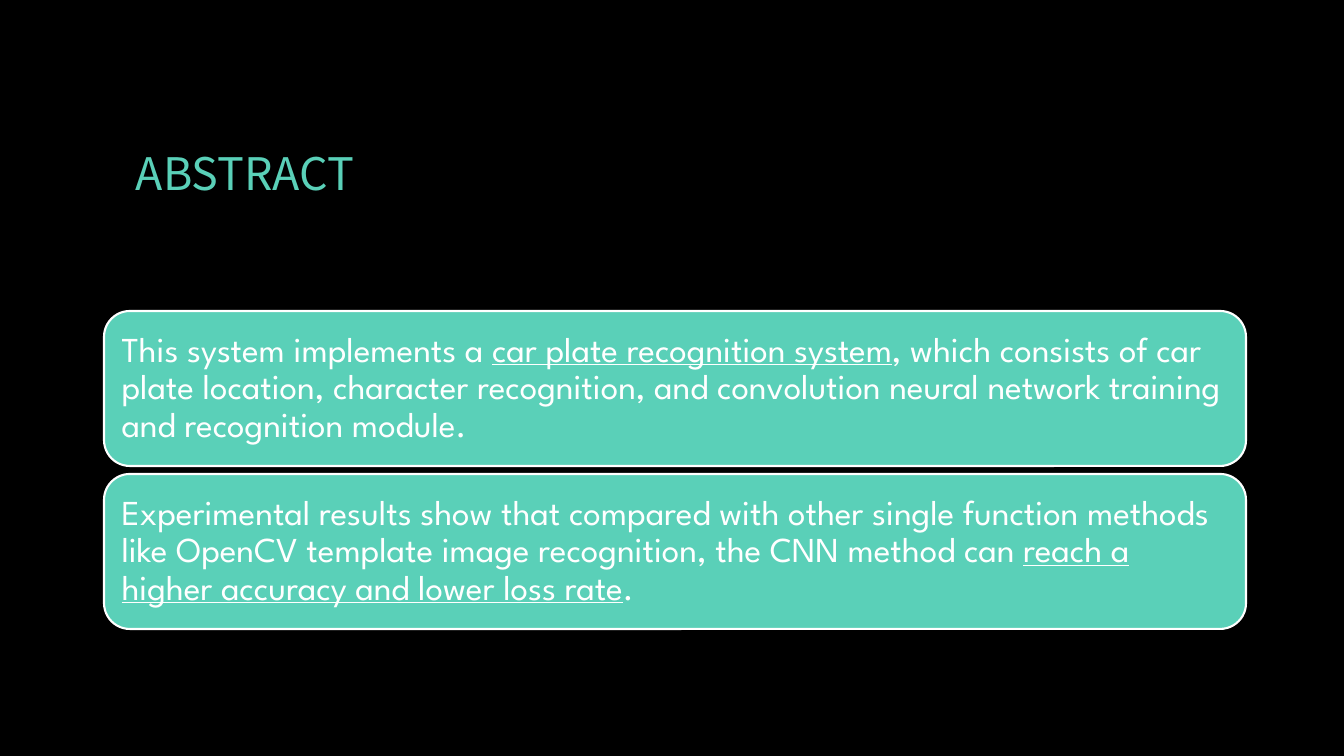
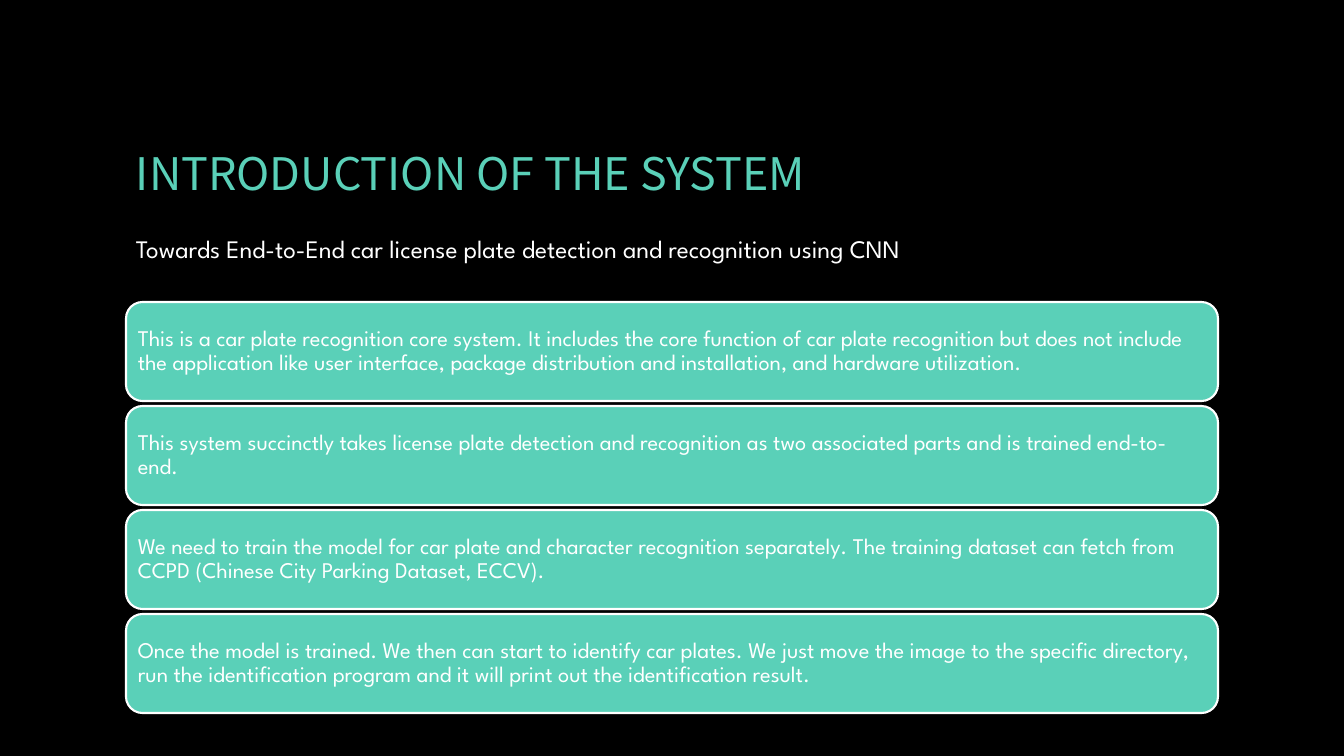
import pptx
import pptx.dml.color
import pptx.enum.shapes
import pptx.enum.text
import pptx.util

SLIDES = [
    {
        "title": "ABSTRACT",
        "subtitle": None,
        "cards": [
            [
                ("This system implements a ", False),
                ("car plate recognition system", True),
                (", which consists of car plate location, character recognition, "
                 "and convolution neural network training and recognition module.", False),
            ],
            [
                ("Experimental results show that compared with other single function methods "
                 "like OpenCV template image recognition, the CNN method can ", False),
                ("reach a higher accuracy and lower loss rate", True),
                (".", False),
            ],
        ],
        "stack": {"left": 104, "top": 311, "width": 1142, "height": 155, "gap": 8},
        "inset": 10,
        "style": "large_card",
    },
    {
        "title": "INTRODUCTION OF THE SYSTEM",
        "subtitle": "Towards End-to-End car license plate detection and recognition using CNN",
        "cards": [
            [("This is a car plate recognition core system. It includes the core function of "
              "car plate recognition but does not include the application like user interface, "
              "package distribution and installation, and hardware utilization.", False)],
            [("This system succinctly takes license plate detection and recognition as two "
              "associated parts and is trained end-to-end.", False)],
            [("We need to train the model for car plate and character recognition separately. "
              "The training dataset can fetch from CCPD (Chinese City Parking Dataset, ECCV).", False)],
            [("Once the model is trained. We then can start to identify car plates. We just move "
              "the image to the specific directory, run the identification program and it will "
              "print out the identification result.", False)],
        ],
        "stack": {"left": 126, "top": 302, "width": 1092, "height": 99, "gap": 5},
        "inset": 7,
        "style": "small_card",
    },
]

BLACK, TEAL, WHITE = (pptx.dml.color.RGBColor.from_string(c) for c in ("000000", "5AD0B8", "FFFFFF"))
BODY_FONT = "League Spartan"
THEME = {
    "background": BLACK,
    "card_fill": TEAL,
    "card_line": WHITE,
    "line_width": 1.5,
    "card_spacing": 0.9,
    "text": {
        "title": {"name": "Noto Sans CJK SC", "size": pptx.util.Pt(32), "color": TEAL},
        "subtitle": {"name": BODY_FONT, "size": pptx.util.Pt(18), "color": WHITE},
        "large_card": {"name": BODY_FONT, "size": pptx.util.Pt(25), "color": WHITE},
        "small_card": {"name": BODY_FONT, "size": pptx.util.Pt(16), "color": WHITE},
    },
}
SIZE = (1344, 756)
TITLE_BOX = (126, 68, 1092, 210)
SUBTITLE_BOX = (126, 228, 948, 40)
MIDDLE = pptx.enum.text.MSO_ANCHOR.MIDDLE
TOP = pptx.enum.text.MSO_ANCHOR.TOP


def px(n):
    return pptx.util.Emu(round(n * 12192000 / SIZE[0]))


def write(sp, runs, style, anchor):
    tf = sp.text_frame
    tf.word_wrap = True
    tf.vertical_anchor = anchor
    p = tf.paragraphs[0]
    p.alignment = pptx.enum.text.PP_ALIGN.LEFT
    for text, underline in runs:
        r = p.add_run()
        r.text = text
        for key, value in THEME["text"][style].items():
            if key == "color":
                r.font.color.rgb = value
            else:
                setattr(r.font, key, value)
        if underline:
            r.font.underline = True
    return tf


def add_text(s, box, text, style, anchor):
    sp = s.shapes.add_textbox(*map(px, box))
    write(sp, [(text, False)], style, anchor)


def add_card(s, box, runs, style, inset):
    sp = s.shapes.add_shape(pptx.enum.shapes.MSO_SHAPE.ROUNDED_RECTANGLE, *map(px, box))
    sp.shadow.inherit = False
    sp.fill.solid()
    sp.fill.fore_color.rgb = THEME["card_fill"]
    sp.line.color.rgb = THEME["card_line"]
    sp.line.width = pptx.util.Pt(THEME["line_width"])
    tf = write(sp, runs, style, MIDDLE)
    tf.paragraphs[0].line_spacing = THEME["card_spacing"]
    for side in ("left", "top", "right", "bottom"):
        setattr(tf, f"margin_{side}", px(inset))


def add_slide(prs, content):
    s = prs.slides.add_slide(prs.slide_layouts[6])
    add_text(s, TITLE_BOX, content["title"], "title", MIDDLE)
    stack = content["stack"]
    for i, runs in enumerate(content["cards"]):
        top = stack["top"] + i * (stack["height"] + stack["gap"])
        box = (stack["left"], top, stack["width"], stack["height"])
        add_card(s, box, runs, content["style"], content["inset"])
    if content["subtitle"]:
        add_text(s, SUBTITLE_BOX, content["subtitle"], "subtitle", TOP)


def main():
    prs = pptx.Presentation()
    prs.slide_width, prs.slide_height = map(px, SIZE)
    fill = prs.slide_master.background.fill
    fill.solid()
    fill.fore_color.rgb = THEME["background"]
    for content in SLIDES:
        add_slide(prs, content)
    prs.save("out.pptx")


if __name__ == "__main__":
    main()
